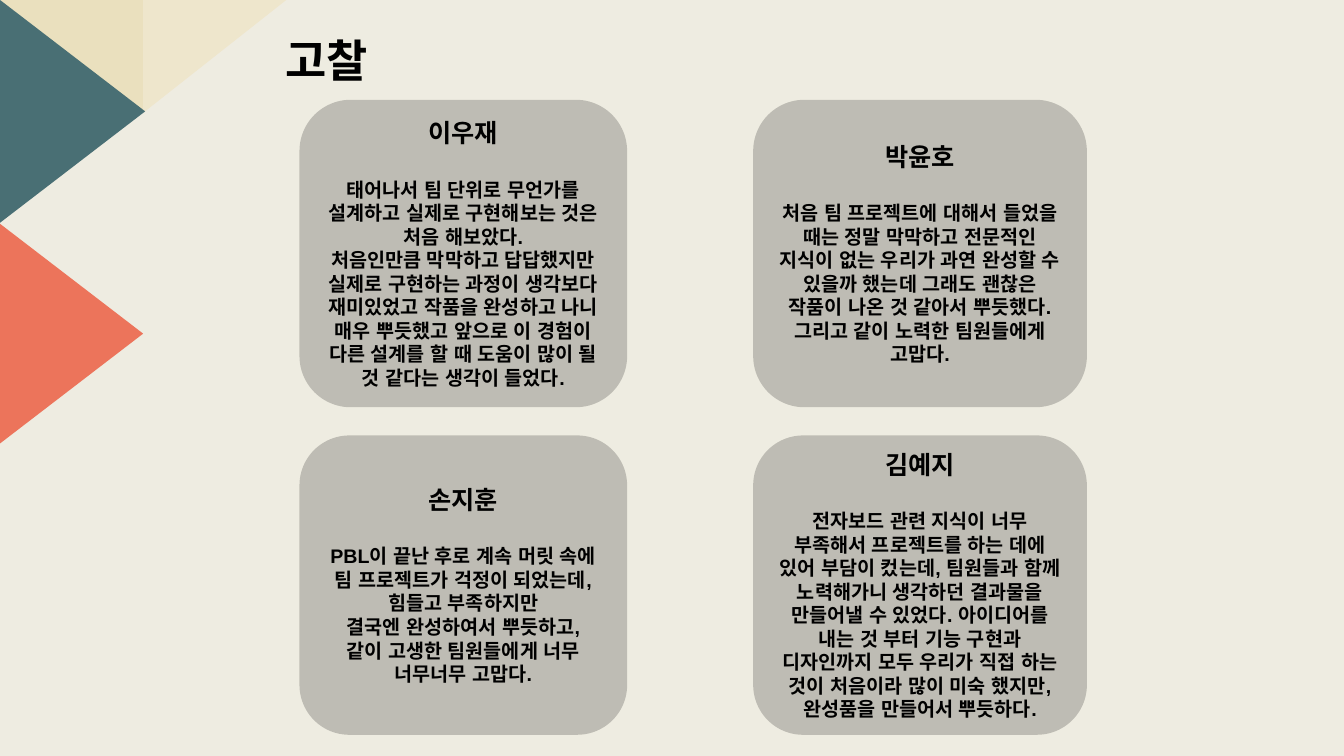
from dataclasses import dataclass

from lxml.etree import SubElement
from pptx import Presentation
from pptx.dml.color import RGBColor
from pptx.enum.lang import MSO_LANGUAGE_ID
from pptx.enum.shapes import MSO_SHAPE
from pptx.enum.text import MSO_ANCHOR, MSO_AUTO_SIZE, PP_ALIGN
from pptx.oxml.ns import qn
from pptx.util import Inches, Pt

SLIDE_WIDTH, SLIDE_HEIGHT = Inches(13.33), Inches(7.5)
INK = "000000"


@dataclass
class Box:
    """Place and size in percent of the slide's width and height."""
    left: float
    top: float
    width: float
    height: float

    def lengths(self) -> tuple[int, int, int, int]:
        return (round(self.left * SLIDE_WIDTH / 100), round(self.top * SLIDE_HEIGHT / 100),
                round(self.width * SLIDE_WIDTH / 100), round(self.height * SLIDE_HEIGHT / 100))


@dataclass
class Triangle:
    kind: MSO_SHAPE
    box: Box
    turn: int
    fill: str


@dataclass
class Reflection:
    column: int
    row: int
    member: str
    thoughts: list[str]


TRIANGLES = [
    Triangle(MSO_SHAPE.RIGHT_TRIANGLE, Box(0, 0, 10.65, 14.93), 180, "EAE0BE"),
    Triangle(MSO_SHAPE.RIGHT_TRIANGLE, Box(10.65, 0, 10.65, 14.93), 90, "EEE6CC"),
    Triangle(MSO_SHAPE.ISOSCELES_TRIANGLE, Box(0, 0, 10.8, 29.47), 90, "496F74"),
    Triangle(MSO_SHAPE.ISOSCELES_TRIANGLE, Box(-0.15, 29.4, 10.8, 29.47), 90, "EC745B"),
]

# Card grid: (start, extent) of each column and row, in percent
COLUMNS = [(22.28, 24.38), (56.04, 24.83)]
ROWS = [(13.2, 40.67), (57.6, 39.6)]

REFLECTIONS = [
    Reflection(0, 0, "이우재", [
        "태어나서 팀 단위로 무언가를 설계하고 실제로 구현해보는 것은 처음 해보았다.",
        "처음인만큼 막막하고 답답했지만 실제로 구현하는 과정이 생각보다 재미있었고 작품을 "
        "완성하고 나니 매우 뿌듯했고 앞으로 이 경험이 다른 설계를 할 때 도움이 많이 될 것 "
        "같다는 생각이 들었다."]),
    Reflection(0, 1, "손지훈", [
        "PBL이 끝난 후로 계속 머릿 속에 팀 프로젝트가 걱정이 되었는데, 힘들고 부족하지만",
        "결국엔 완성하여서 뿌듯하고,",
        "같이 고생한 팀원들에게 너무 너무너무 고맙다."]),
    Reflection(1, 1, "김예지", [
        "전자보드 관련 지식이 너무 부족해서 프로젝트를 하는 데에 있어 부담이 컸는데, "
        "팀원들과 함께 노력해가니 생각하던 결과물을 만들어낼 수 있었다. 아이디어를 내는 것 "
        "부터 기능 구현과 디자인까지 모두 우리가 직접 하는 것이 처음이라 많이 미숙 했지만, "
        "완성품을 만들어서 뿌듯하다."]),
    Reflection(1, 0, "박윤호", [
        "처음 팀 프로젝트에 대해서 들었을 때는 정말 막막하고 전문적인 지식이 없는 우리가 "
        "과연 완성할 수 있을까 했는데 그래도 괜찮은 작품이 나온 것 같아서 뿌듯했다. "
        "그리고 같이 노력한 팀원들에게 고맙다."]),
]


def colour(value: str) -> RGBColor:
    return RGBColor.from_string(value)


def write(paragraph, text: str, *, size: float, align=PP_ALIGN.CENTER,
          after: float = 0, line_spacing: float = 1.0) -> None:
    paragraph.alignment = align
    paragraph.space_before = Pt(0)
    paragraph.space_after = Pt(after)
    paragraph.line_spacing = line_spacing
    run = paragraph.add_run()
    run.text = text
    run.font.name = "Arial"
    run.font.size = Pt(size)
    run.font.bold = True
    run.font.color.rgb = colour(INK)
    run.font.language_id = MSO_LANGUAGE_ID.KOREAN


def add_filled(slide, kind: MSO_SHAPE, lengths: tuple[int, int, int, int], fill: str):
    shape = slide.shapes.add_shape(kind, *lengths)
    shape.shadow.inherit = False
    shape.fill.solid()
    shape.fill.fore_color.rgb = colour(fill)
    shape.line.fill.background()
    return shape


def draw_triangle(slide, triangle: Triangle) -> None:
    left, top, width, height = triangle.box.lengths()
    if triangle.turn == 90:  # the unturned frame shares the centre, with its sides swapped
        left, top = left + (width - height) // 2, top + (height - width) // 2
        width, height = height, width
    shape = add_filled(slide, triangle.kind, (left, top, width, height), triangle.fill)
    shape.rotation = triangle.turn


def draw_reflection(slide, reflection: Reflection) -> None:
    left, width = COLUMNS[reflection.column]
    top, height = ROWS[reflection.row]
    card = add_filled(slide, MSO_SHAPE.ROUNDED_RECTANGLE,
                      Box(left, top, width, height).lengths(), INK)
    SubElement(card.element.spPr.find(".//" + qn("a:srgbClr")), qn("a:alpha"), val="20000")
    frame = card.text_frame
    frame.word_wrap = True
    frame.vertical_anchor = MSO_ANCHOR.MIDDLE
    write(frame.paragraphs[0], reflection.member, size=18, after=21)
    for thought in reflection.thoughts:
        write(frame.add_paragraph(), thought, size=14)


def main() -> None:
    deck = Presentation()
    deck.slide_width, deck.slide_height = SLIDE_WIDTH, SLIDE_HEIGHT
    slide = deck.slides.add_slide(deck.slide_layouts[5])
    slide.background.fill.solid()
    slide.background.fill.fore_color.rgb = colour("EEECE1")

    # Corner decoration
    for triangle in TRIANGLES:
        draw_triangle(slide, triangle)

    # Title
    title = slide.shapes.title
    title.left, title.top, title.width, title.height = Box(20.48, 4.4, 45.45, 7.87).lengths()
    title.text_frame.auto_size = MSO_AUTO_SIZE.NONE
    title.text_frame.vertical_anchor = MSO_ANCHOR.MIDDLE
    write(title.text_frame.paragraphs[0], "고찰", size=32, align=PP_ALIGN.LEFT, line_spacing=0.9)

    # Reflections of the team members
    for reflection in REFLECTIONS:
        draw_reflection(slide, reflection)

    deck.save("out.pptx")


if __name__ == "__main__":
    main()
